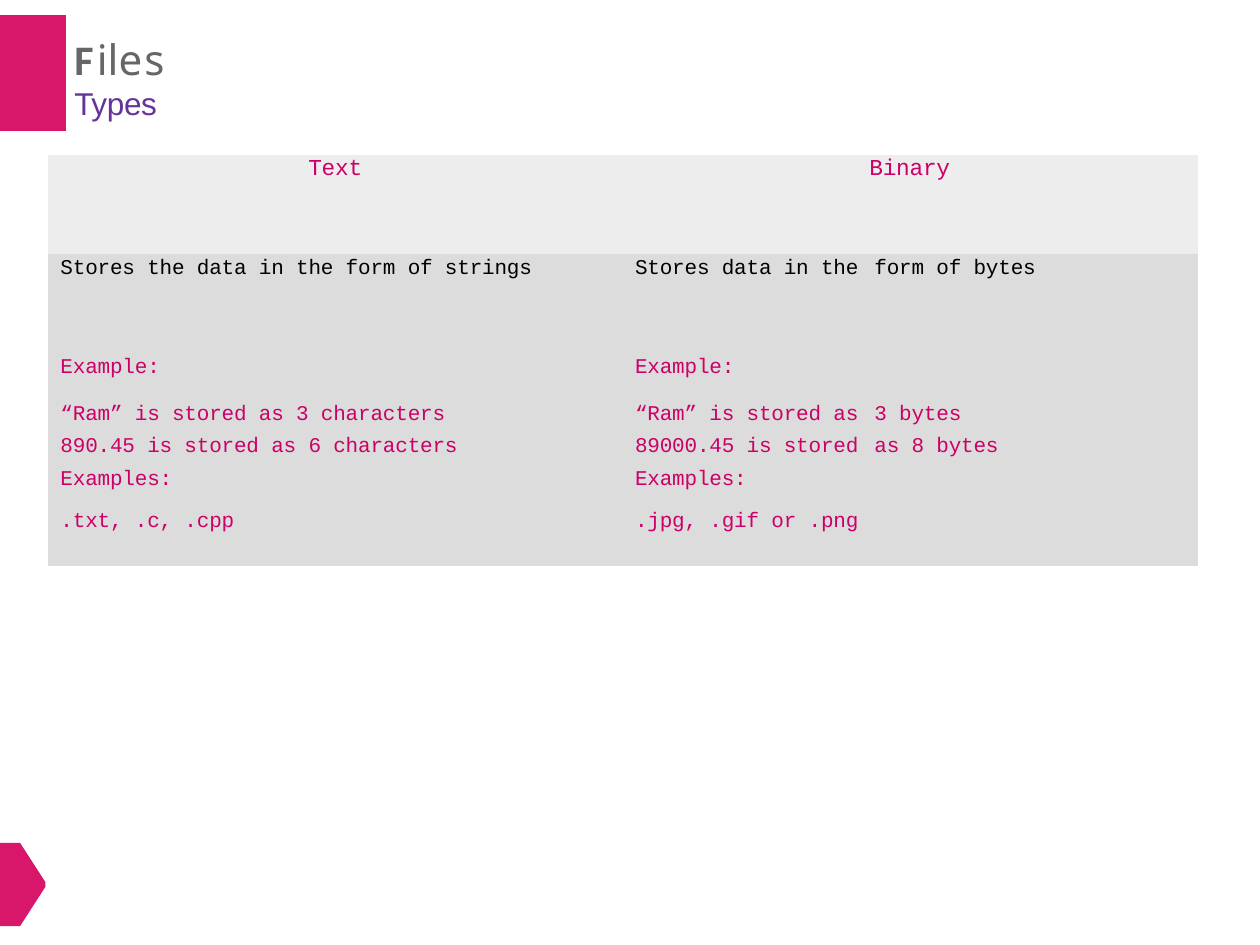
from dataclasses import dataclass

from lxml.etree import SubElement
from pptx import Presentation
from pptx.dml.color import RGBColor
from pptx.enum.text import MSO_AUTO_SIZE, PP_ALIGN
from pptx.oxml.ns import qn
from pptx.util import Inches, Pt

PINK = "D8166A"
MAGENTA = "CC0066"
BLACK = "000000"
LIGHT = "EDEDED"
GREY = "DCDCDC"
NO_GRID = "{2D5ABB26-0587-4C30-8999-92F81FD0307C}"


@dataclass
class Row:
    height: float
    top_margin: float
    texts: tuple[str, str, str]
    color: str = MAGENTA
    fill: str = GREY
    size: float = 12
    indents: tuple[float, float, float] = (0.1, 0.38, 0.07)


@dataclass
class Piece:
    text: str
    font: str
    size: float
    color: str
    spacing: float
    bold: bool = False


def rgb(value: str) -> RGBColor:
    return RGBColor.from_string(value)


def style_run(run, piece: Piece) -> None:
    run.font.name = piece.font
    run.font.size = Pt(piece.size)
    run.font.bold = piece.bold
    run.font.color.rgb = rgb(piece.color)
    run.font._element.set("spc", str(round(piece.spacing * 100)))


def draw_outline(slide, points: list[tuple[float, float]]) -> None:
    start, *rest = [(Inches(x), Inches(y)) for x, y in points]
    builder = slide.shapes.build_freeform(*start)
    builder.add_line_segments(rest, close=True)
    outline = builder.convert_to_shape()
    outline.shadow.inherit = False
    outline.fill.solid()
    outline.fill.fore_color.rgb = rgb(PINK)
    outline.line.fill.background()


def draw_heading(slide, lines: list[list[Piece]]) -> None:
    heading = slide.shapes.add_textbox(Inches(0.58), Inches(0.26), Inches(0.82), Inches(0.73))
    frame = heading.text_frame
    frame.word_wrap = True
    frame.auto_size = MSO_AUTO_SIZE.SHAPE_TO_FIT_TEXT
    frame.margin_left = frame.margin_top = Inches(0.01)
    frame.margin_right = frame.margin_bottom = 0
    for index, pieces in enumerate(lines):
        paragraph = frame.add_paragraph() if index else frame.paragraphs[0]
        for piece in pieces:
            run = paragraph.add_run()
            run.text = piece.text
            style_run(run, piece)


def fill_cell(cell, row: Row, column: int) -> None:
    cell.fill.solid()
    cell.fill.fore_color.rgb = rgb(row.fill)
    cell.margin_left = Inches(row.indents[column])
    cell.margin_top = Inches(row.top_margin)
    cell.margin_right = cell.margin_bottom = 0
    text = row.texts[column]
    paragraph = cell.text_frame.paragraphs[0]
    if not text:
        SubElement(paragraph._p, qn("a:endParaRPr"), sz=str(row.size * 100))
        return
    paragraph.text = text
    if text == "Text":
        paragraph.alignment = PP_ALIGN.CENTER
    style_run(paragraph.runs[0], Piece(text, "Courier New", row.size, row.color, -0.1))


def draw_comparison(slide, widths: list[float], rows: list[Row]) -> None:
    frame = slide.shapes.add_table(
        len(rows), len(widths), Inches(0.38), Inches(1.23),
        Inches(sum(widths)), Inches(sum(row.height for row in rows)),
    )
    table = frame.table
    table.first_row = table.horz_banding = False
    table._tbl.tblPr.find(qn("a:tableStyleId")).text = NO_GRID
    for column, width in zip(table.columns, widths):
        column.width = Inches(width)
    for index, row in enumerate(rows):
        table.rows[index].height = Inches(row.height)
        for column in range(len(widths)):
            fill_cell(table.cell(index, column), row, column)


HEADING = [
    [
        Piece("F", "Calibri", 24, "666666", 1.9, True),
        Piece("i", "Noto Sans", 24, "666666", -0.3),
        Piece("l", "Noto Sans", 24, "666666", -0.2),
        Piece("e", "Noto Sans", 24, "666666", 1.2),
        Piece("s", "Noto Sans", 24, "666666", 0.2),
    ],
    [Piece("Types", "Arial", 18, "663399", -0.2)],
]

ROWS = [
    Row(0.79, 0.01, ("Text", "", "Binary"), fill=LIGHT, size=13, indents=(0.28, 0, 0.03)),
    Row(0.53, 0.02, ("Stores the data in the form of strings", "Stores data in the", "form of bytes"), BLACK),
    Row(0.58, 0.28, ("Example:", "Example:", "")),
    Row(0.31, 0.07, ("“Ram” is stored as 3 characters", "“Ram” is stored as", "3 bytes")),
    Row(0.26, 0.01, ("890.45 is stored as 6 characters", "89000.45 is stored", "as 8 bytes")),
    Row(0.3, 0.02, ("Examples:", "Examples:", "")),
    Row(0.49, 0.05, (".txt, .c, .cpp", ".jpg, .gif or .png", "")),
]

presentation = Presentation()
presentation.slide_width = Inches(10)
presentation.slide_height = Inches(7.5)
slide = presentation.slides.add_slide(presentation.slide_layouts[6])

draw_outline(slide, [(0, 0.12), (0.52, 0.12), (0.52, 1.04), (0, 1.04)])
draw_outline(slide, [(0, 6.69), (0.16, 6.69), (0.36, 7), (0.36, 7.04), (0.16, 7.35), (0, 7.35)])
draw_heading(slide, HEADING)
draw_comparison(slide, [4.28, 2.21, 2.64], ROWS)

presentation.save("out.pptx")
